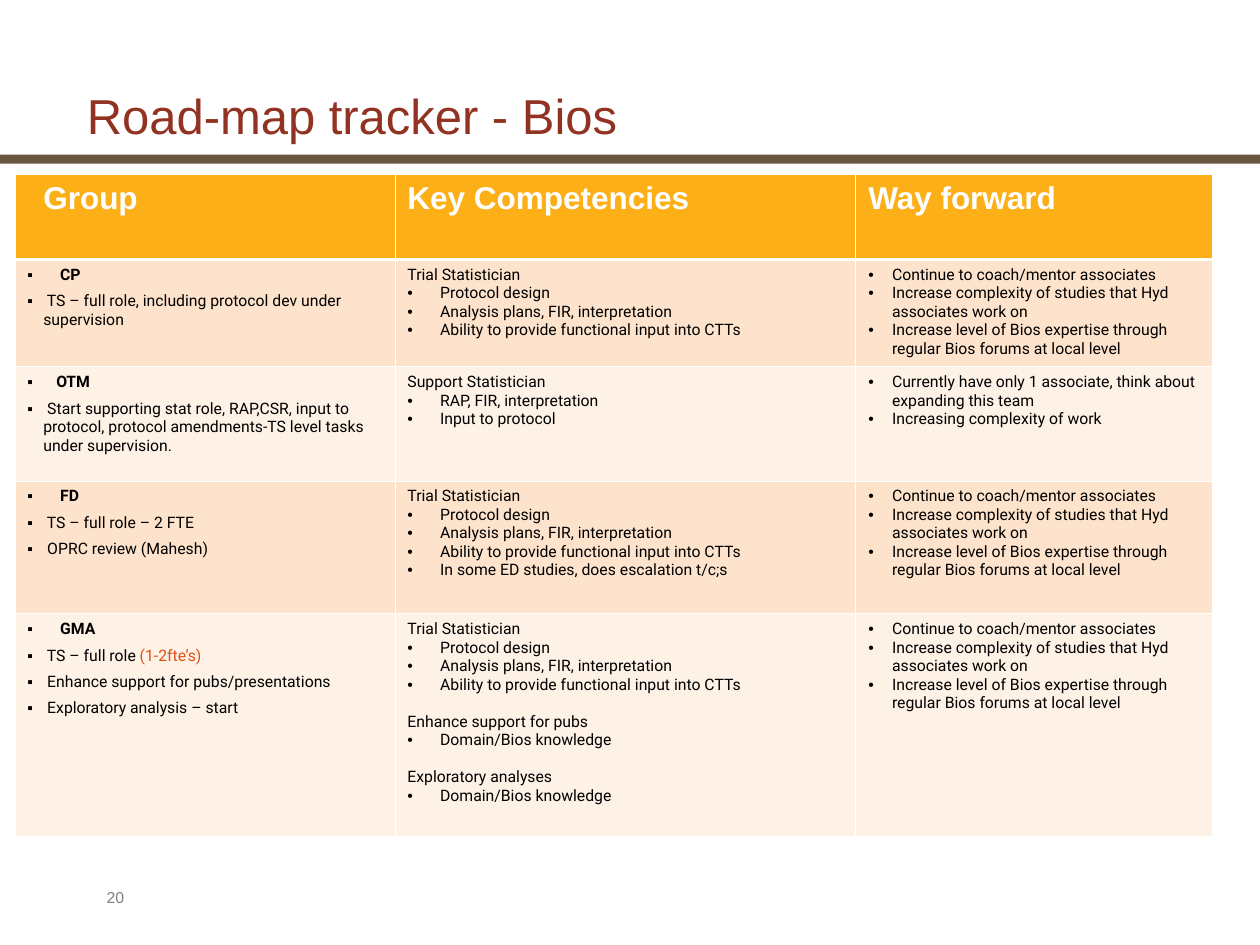
from dataclasses import dataclass, replace

from lxml.etree import SubElement
from pptx import Presentation
from pptx.dml.color import RGBColor
from pptx.enum.shapes import MSO_SHAPE
from pptx.enum.text import MSO_ANCHOR
from pptx.oxml.ns import qn
from pptx.util import Cm, Pt

WHITE, BLACK, BROWN, RUST = "FFFFFF", "000000", "6A5540", "923222"
AMBER, PEACH, CREAM, ORANGE, GREY = "FCAF17", "FEE3CC", "FEF2E7", "E44C16", "7F7F7F"

COLUMN_WIDTHS = (7.66, 9.29, 7.2)
ROW_HEIGHTS = (1.71, 2.16, 2.3, 2.68, 4.48)
THIN, THICK = 0.45, 1.47


@dataclass(frozen=True)
class Line:
    """One paragraph; lengths in cm, spacing in points."""
    text: str
    size: float = 9
    font: str = "Roboto"
    color: str = BLACK
    bold: bool = False
    bullet: str = ""
    margin: float = 0
    hang: float = 0
    before: float = 0
    after: float = 0
    spacing: float = 1.0
    tail: str = ""
    tail_color: str = ORANGE


def header(text: str, **fmt) -> Line:
    return Line(text, size=18, font="Arial", color=WHITE, bold=True, **fmt)


def group(text: str) -> Line:
    return Line(text, bold=True, bullet="▪", margin=0.58, hang=0.58, after=4.5)


def task(text: str, tail: str = "") -> Line:
    return Line(text, bullet="▪", margin=0.32, hang=0.32, after=4.5, tail=tail)


def skill(text: str) -> Line:
    return Line(text, bullet="•", margin=0.58, hang=0.58)


def action(text: str) -> Line:
    return Line(text, bullet="•", margin=0.48, hang=0.48)


def section(text: str) -> Line:
    """A subheading set one text line below what precedes it."""
    return Line(text, before=10.5)


TRIAL_SKILLS = [
    Line("Trial Statistician"),
    skill(" Protocol design"),
    skill(" Analysis plans, FIR, interpretation"),
    skill(" Ability to provide functional input into CTTs"),
]
COACHING = [
    action("Continue to coach/mentor associates"),
    action("Increase complexity of studies that Hyd associates work on"),
    action("Increase level of Bios expertise through regular Bios forums at local level"),
]
DOMAIN = skill(" Domain/Bios knowledge")

ROWS = [
    [[header("Group", margin=0.32, after=9)],
     [header("Key Competencies")],
     [header("Way forward")]],
    [[group(" CP"),
      task(" TS – full role, including protocol dev under supervision")],
     TRIAL_SKILLS,
     COACHING],
    [[group("OTM"),
      task(" Start supporting stat role, RAP,CSR, input to protocol, "
           "protocol amendments-TS level tasks under supervision.")],
     [Line("Support Statistician"),
      skill(" RAP, FIR, interpretation"),
      skill(" Input to protocol")],
     [action("Currently have only 1 associate, think about expanding this team"),
      action("Increasing complexity of work")]],
    [[group(" FD"),
      task(" TS – full role – 2 FTE"),
      task(" OPRC review (Mahesh)")],
     TRIAL_SKILLS + [skill(" In some ED studies, does escalation t/c;s")],
     COACHING],
    [[group(" GMA"),
      task(" TS – full role ", tail="(1-2fte’s)"),
      task(" Enhance support for pubs/presentations"),
      task(" Exploratory analysis – start")],
     TRIAL_SKILLS + [section("Enhance support for pubs"), DOMAIN,
                     section("Exploratory analyses"), DOMAIN],
     COACHING],
]


def rgb(color: str) -> RGBColor:
    return RGBColor.from_string(color)


def add_solid(parent, tag: str, color: str) -> None:
    SubElement(SubElement(parent, qn(tag)), qn("a:srgbClr")).set("val", color)


def write_line(p, line: Line) -> None:
    pPr = p._p.get_or_add_pPr()
    pPr.set("marL", str(Cm(line.margin)))
    pPr.set("indent", str(-Cm(line.hang)))
    if line.bullet:
        add_solid(pPr, "a:buClr", BLACK)
        SubElement(pPr, qn("a:buFont")).set("typeface", "Arial")
        SubElement(pPr, qn("a:buChar")).set("char", line.bullet)
    p.line_spacing = line.spacing
    p.space_before, p.space_after = Pt(line.before), Pt(line.after)
    for text, color in ((line.text, line.color), (line.tail, line.tail_color)):
        if text:
            r = p.add_run()
            r.text = text
            r.font.name, r.font.size, r.font.bold = line.font, Pt(line.size), line.bold
            r.font.color.rgb = rgb(color)


def write_lines(tf, lines: list[Line]) -> None:
    for i, line in enumerate(lines):
        write_line(tf.add_paragraph() if i else tf.paragraphs[0], line)


def add_text(s, text: str, left: float, top: float, width: float, height: float,
             anchor=MSO_ANCHOR.TOP, **fmt) -> None:
    tf = s.shapes.add_textbox(Cm(left), Cm(top), Cm(width), Cm(height)).text_frame
    tf.word_wrap = True
    tf.vertical_anchor = anchor
    write_lines(tf, [replace(Line(text, font="Arial"), **fmt)])


def set_borders(cell, top: float, bottom: float) -> None:
    tcPr = cell._tc.get_or_add_tcPr()
    for side, width in (("L", THIN), ("R", THIN), ("T", top), ("B", bottom)):
        ln = SubElement(tcPr, qn(f"a:ln{side}"))
        ln.set("w", str(Pt(width)))
        add_solid(ln, "a:solidFill", WHITE)


def add_tracker(s, left: float, top: float) -> None:
    table = s.shapes.add_table(
        len(ROWS), len(COLUMN_WIDTHS), Cm(left), Cm(top),
        Cm(sum(COLUMN_WIDTHS)), Cm(sum(ROW_HEIGHTS))).table
    table.horz_banding = False
    for column, width in zip(table.columns, COLUMN_WIDTHS):
        column.width = Cm(width)
    for i, (row, height) in enumerate(zip(table.rows, ROW_HEIGHTS)):
        row.height = Cm(height)
        fill = AMBER if i == 0 else PEACH if i % 2 else CREAM
        for cell, lines in zip(row.cells, ROWS[i]):
            set_borders(cell, top=THICK if i == 1 else THIN,
                        bottom=THICK if i == 0 else THIN)
            cell.fill.solid()
            cell.fill.fore_color.rgb = rgb(fill)
            write_lines(cell.text_frame, lines)


def add_rule(s, top: float, width: float, height: float) -> None:
    sp = s.shapes.add_shape(MSO_SHAPE.RECTANGLE, 0, Cm(top), Cm(width), Cm(height))
    sp.shadow.inherit = False
    sp.fill.solid()
    sp.fill.fore_color.rgb = rgb(BROWN)
    sp.line.fill.background()


def main() -> None:
    prs = Presentation()
    prs.slide_width, prs.slide_height = Cm(25.4), Cm(19.05)
    s = prs.slides.add_slide(prs.slide_layouts[6])
    add_rule(s, 3.12, 25.4, 0.18)
    add_text(s, "Road-map tracker - Bios", 1.5, 1.7, 23.04, 1.37,
             anchor=MSO_ANCHOR.BOTTOM, size=28, color=RUST, spacing=0.95)
    add_tracker(s, 0.3, 3.52)
    add_text(s, "20", 1.9, 17.78, 17.98, 0.69, color=GREY)
    prs.save("out.pptx")


if __name__ == "__main__":
    main()
